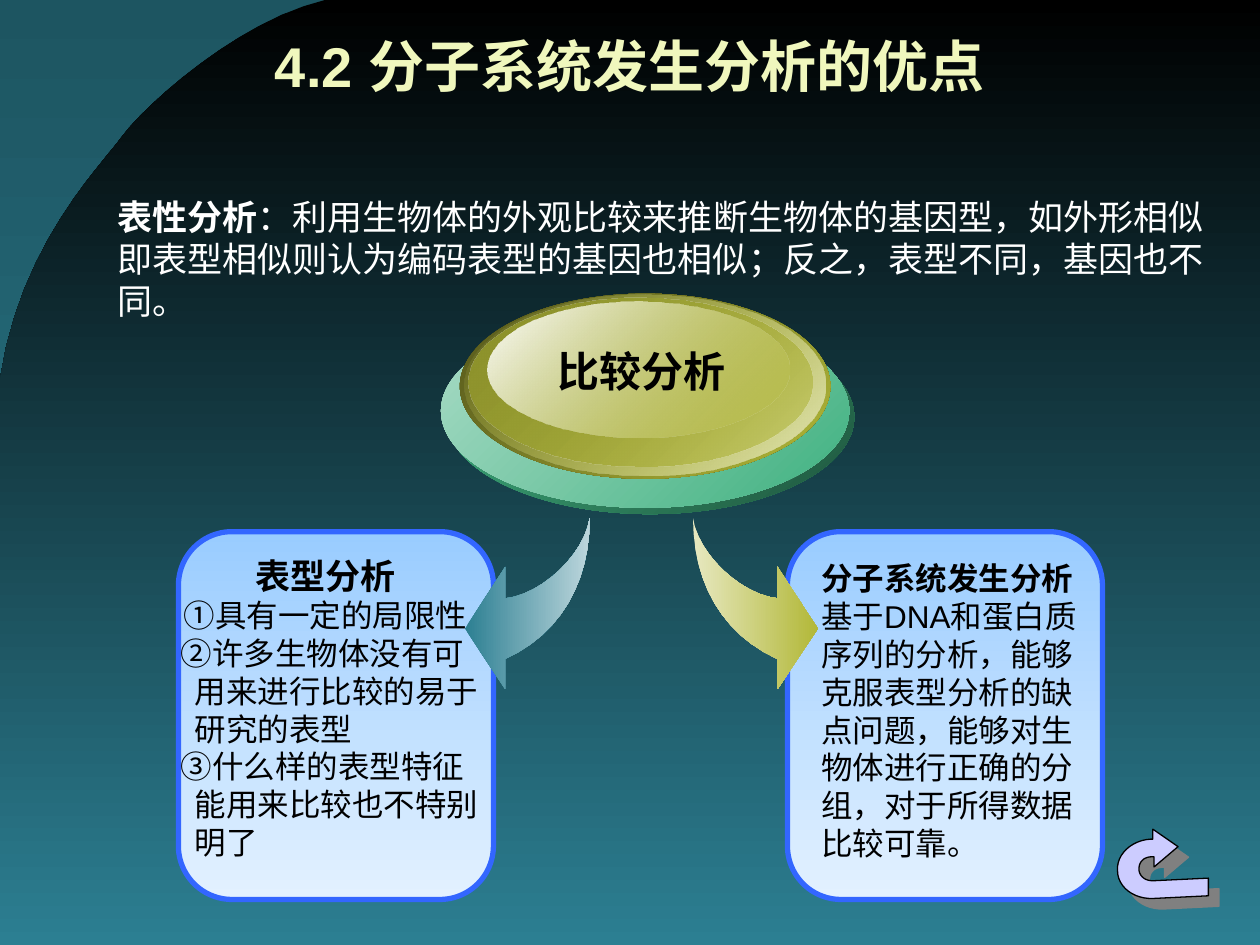
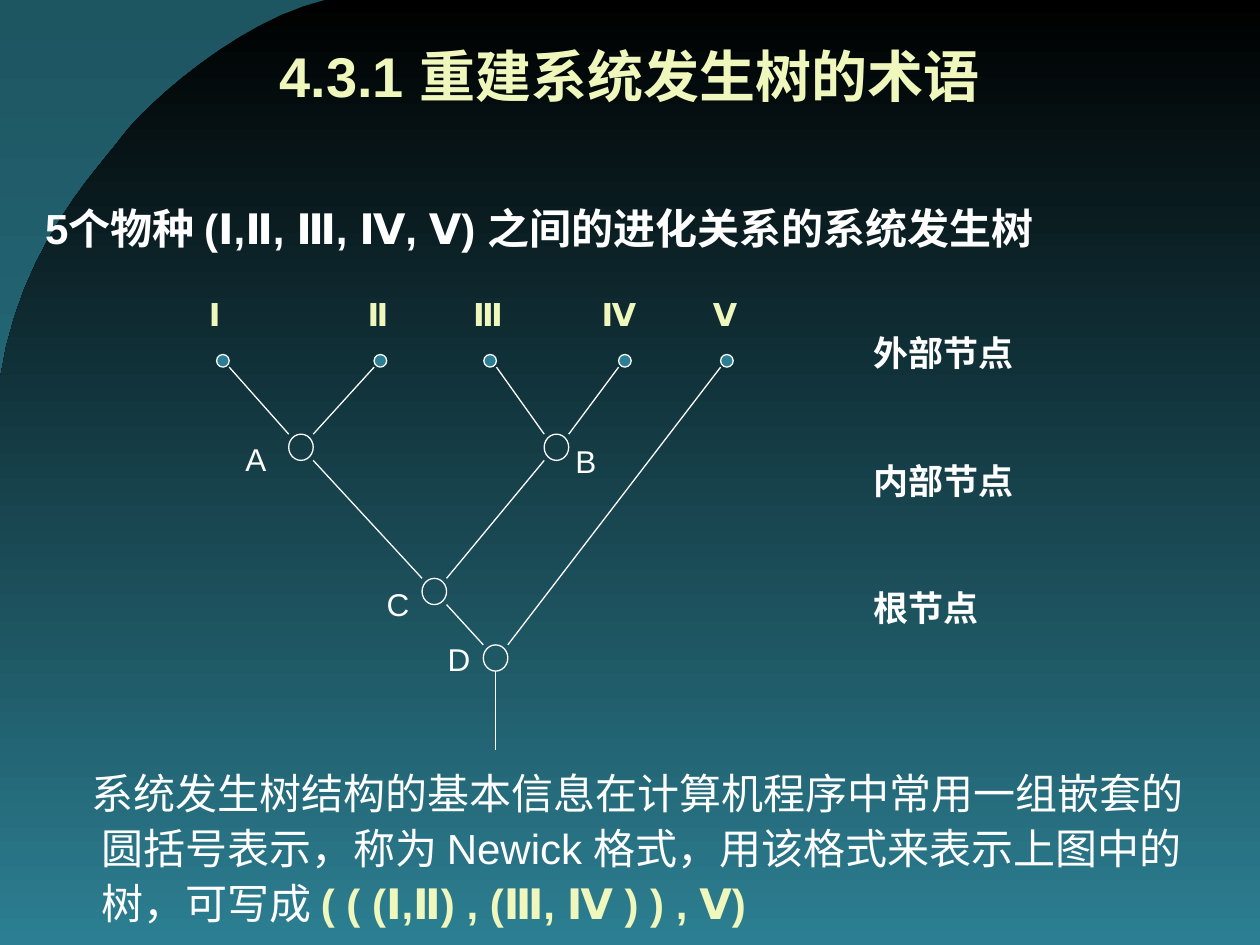
from dataclasses import dataclass

from lxml import etree
from pptx import Presentation
from pptx.dml.color import RGBColor
from pptx.enum.shapes import MSO_CONNECTOR, MSO_SHAPE
from pptx.enum.text import MSO_ANCHOR, PP_ALIGN
from pptx.oxml.ns import qn
from pptx.util import Pt

OVAL = MSO_SHAPE.OVAL
ROUNDED = MSO_SHAPE.ROUNDED_RECTANGLE
STRAIGHT = MSO_CONNECTOR.STRAIGHT
LEFT, CENTER = PP_ALIGN.LEFT, PP_ALIGN.CENTER
MIDDLE = MSO_ANCHOR.MIDDLE
TITLE_ONLY = 5
CURVE_STEPS = 12


@dataclass(frozen=True)
class Theme:
    """Colours, font and type sizes of the deck."""
    font: str = "Arial"
    black: str = "000000"
    white: str = "FFFFFF"
    cream: str = "F0F7BD"
    teal: str = "2C7F92"
    deep_teal: str = "1D5561"
    pale_teal: str = "BCD6DC"
    olive: str = "B2B838"
    pale_olive: str = "E7E8C0"
    green: str = "3FB180"
    blue: str = "3366FF"
    sky: str = "99CCFF"
    ice: str = "E3F1FF"
    lilac: str = "CCCCFF"
    grey: str = "808080"
    title: int = 32
    lead: int = 24
    heading: int = 20
    text: int = 18
    hairline: float = 0.75
    card_line: float = 3


THEME = Theme()

BACKDROP = [
    (185.8, 0), (136.8, 11.5, 83.5, 59.8, 70.6, 77),
    (57.6, 95, 11.5, 139.7, 0, 216.7), (0, 540), (720, 540), (720, 0),
]
SWOOSH = [
    (337, 296), (337, 332.6, 320.4, 362.2, 288.7, 376.6), (288.7, 393.8),
    (265.7, 359.3), (288.7, 324), (288.7, 342),
    (309.6, 339.8, 334.1, 316.8, 337, 296),
]
RETURN_ARROW = [
    (673.2, 483.8), (658.8, 473.8), (658.8, 479.5), (657.4, 479.5),
    (646.6, 480.2, 637.9, 488.2, 638.6, 497.5),
    (638.6, 506.9, 648, 514.1, 659.5, 513.4),
    (690.5, 511.9), (690.5, 501.8), (658.8, 503.3),
    (654.5, 503.3, 651.6, 501.1, 650.9, 497.5), (650.9, 496.1),
    (650.9, 492.5, 653.8, 489.6, 658.1, 489.6), (659.5, 489.6), (659.5, 495.4),
]


def color(value):
    """Turn a hex string into a colour."""
    return RGBColor.from_string(value)


def trace(path):
    """Turn points and cubic curves into a list of points."""
    points = [path[0]]
    for step in path[1:]:
        if len(step) == 2:
            points.append(step)
            continue
        controls = [points[-1], step[0:2], step[2:4], step[4:6]]
        for index in range(1, CURVE_STEPS + 1):
            t = index / CURVE_STEPS
            weights = ((1 - t) ** 3, 3 * t * (1 - t) ** 2, 3 * t * t * (1 - t), t ** 3)
            points.append(tuple(
                sum(weight * control[axis] for weight, control in zip(weights, controls))
                for axis in (0, 1)))
    return points


def mirror(path, width):
    """Flip a path left to right inside the given width."""
    return [tuple(width - value if index % 2 == 0 else value
                  for index, value in enumerate(step)) for step in path]


def set_gradient(fill, first, last, angle):
    """Fill with two colours, the angle being clockwise."""
    fill.gradient()
    fill.gradient_angle = (360 - angle) % 360
    for stop, value, position in zip(fill.gradient_stops, (first, last), (0, 1)):
        stop.color.rgb = color(value)
        stop.position = position


def add_shadow(effects, value, distance):
    """Cast a hard shadow to the lower right."""
    shadow = etree.SubElement(effects, qn("a:outerShdw"), dist=str(Pt(distance)),
                              dir="2700000", algn="ctr", rotWithShape="0")
    etree.SubElement(shadow, qn("a:srgbClr"), val=value)


class Deck:
    """Holds the style and the current slide."""

    def __init__(self, theme):
        """Set up the presentation and its master."""
        self.theme = theme
        self.presentation = Presentation()
        self.presentation.slide_width = Pt(720)
        self.presentation.slide_height = Pt(540)
        self.slide = None
        self.has_backdrop = False
        set_gradient(self.presentation.slide_master.background.fill,
                     theme.deep_teal, theme.teal, 90)

    def new_slide(self, title, top):
        """Start a slide with a shadowed title."""
        layout = self.presentation.slide_layouts[TITLE_ONLY]
        self.slide = self.presentation.slides.add_slide(layout)
        if not self.has_backdrop:
            self.move_backdrop_to_master()
        placeholder = self.slide.shapes.title
        placeholder.left, placeholder.top = Pt(36), Pt(top)
        placeholder.width, placeholder.height = Pt(648), Pt(50.4)
        frame = placeholder.text_frame
        frame.vertical_anchor = MIDDLE
        paragraph = frame.paragraphs[0]
        paragraph.alignment = CENTER
        run = self.run(paragraph, title, self.theme.title, self.theme.cream, True)
        effects = etree.Element(qn("a:effectLst"))
        add_shadow(effects, self.theme.black, 3)
        run.font._element.find(qn("a:solidFill")).addnext(effects)

    def move_backdrop_to_master(self):
        """Draw the curved backdrop once, behind every slide."""
        backdrop = self.outline(BACKDROP, (self.theme.black, self.theme.teal, 90))
        self.presentation.slide_master.shapes._spTree.insert(2, backdrop._element)
        self.has_backdrop = True

    def style(self, shape, fill, line=None, weight=None):
        """Set a plain, gradient or empty fill, and the line."""
        shape.shadow.inherit = False
        if fill is None:
            shape.fill.background()
        elif isinstance(fill, tuple):
            set_gradient(shape.fill, *fill)
        else:
            shape.fill.solid()
            shape.fill.fore_color.rgb = color(fill)
        if line is None:
            shape.line.fill.background()
        else:
            shape.line.color.rgb = color(line)
            shape.line.width = Pt(weight or self.theme.hairline)
        return shape

    def shape(self, kind, box, fill, line=None, weight=None):
        """Add a preset shape."""
        shape = self.slide.shapes.add_shape(kind, *map(Pt, box))
        return self.style(shape, fill, line, weight)

    def outline(self, path, fill, line=None):
        """Add a closed freeform."""
        points = [(Pt(x), Pt(y)) for x, y in trace(path)]
        builder = self.slide.shapes.build_freeform(*points[0])
        builder.add_line_segments(points[1:], close=True)
        return self.style(builder.convert_to_shape(), fill, line)

    def glass(self, box, first, last, opacities=(100, 100)):
        """Add an ellipse with a slanted, partly clear gradient."""
        shape = self.shape(OVAL, box, (first, last, 45))
        for stop, opacity in zip(shape._element.spPr.iter(qn("a:gs")), opacities):
            if opacity < 100:
                etree.SubElement(stop[0], qn("a:alpha"), val=str(opacity * 1000))

    def line(self, start, end):
        """Add a thin white line."""
        connector = self.slide.shapes.add_connector(STRAIGHT, *map(Pt, start + end))
        connector.line.color.rgb = color(self.theme.white)
        connector.line.width = Pt(self.theme.hairline)
        etree.SubElement(connector._element.spPr, qn("a:effectLst"))

    def text(self, box, wrap=True):
        """Add an empty text box and return its frame."""
        frame = self.slide.shapes.add_textbox(*map(Pt, box)).text_frame
        frame.word_wrap = wrap
        return frame

    def paragraph(self, frame, runs, align=LEFT, hang=None, spacing=None, before=0):
        """Write a paragraph of (text, size, colour, bold) runs."""
        paragraph = frame.paragraphs[0]
        if paragraph.runs:
            paragraph = frame.add_paragraph()
            paragraph.space_before = Pt(before)
        paragraph.alignment = align
        if hang:
            properties = paragraph._p.get_or_add_pPr()
            properties.set("marL", str(Pt(hang[0])))
            properties.set("indent", str(Pt(hang[1])))
        if spacing:
            paragraph.line_spacing = spacing
        for run in runs:
            self.run(paragraph, *run)

    def run(self, paragraph, text, size, value, bold=False):
        """Add one formatted run."""
        run = paragraph.add_run()
        run.text = text
        run.font.name = self.theme.font
        run.font.size = Pt(size)
        run.font.bold = bold
        run.font.color.rgb = color(value)
        return run

    def label(self, text, center, top, value, bold=False):
        """Write a short label centred on a place."""
        frame = self.text((center - 15, top, 30, 28.8), wrap=False)
        self.paragraph(frame, [(text, self.theme.text, value, bold)], CENTER)


def build_advantages(deck):
    """Compare phenotype analysis with molecular phylogenetics."""
    theme = deck.theme
    deck.new_slide("4.2 分子系统发生分析的优点", 12.2)

    for left in (450, 102):
        card = deck.shape(ROUNDED, (left, 303.8, 180, 210.2),
                          (theme.sky, theme.ice, 90), theme.blue, theme.card_line)
        card.adjustments[0] = 0.17

    phenotype = deck.text((84.2, 313.2, 203.8, 183))
    deck.paragraph(phenotype, [("表型分析", theme.heading, theme.black, True)], CENTER)
    deck.paragraph(phenotype, [("①具有一定的局限性", theme.text, theme.black)], CENTER)
    for point in ("②许多生物体没有可用来进行比较的易于研究的表型",
                  "③什么样的表型特征能用来比较也不特别明了"):
        deck.paragraph(phenotype, [(point, theme.text, theme.black)], hang=(20, -8))

    deck.outline(SWOOSH, (theme.teal, theme.pale_teal, 0))
    deck.outline(mirror(SWOOSH, 733), (theme.pale_olive, theme.olive, 0))

    deck.glass((254.9, 182.9, 233.3, 110.9), theme.green, "1F563E")
    deck.glass((252, 179.3, 233.3, 110.9), "AADCC7", theme.green)
    deck.glass((262.8, 167.8, 211.7, 105.8), "52551A", theme.olive)
    deck.glass((265.7, 168.5, 205.9, 103), theme.olive, "E4E6BA", (0, 100))
    deck.glass((267.8, 169.9, 196.6, 96.5), "8D922C", theme.olive, (100, 48))
    deck.glass((278.6, 172.1, 172.8, 77.8), theme.white, theme.olive, (100, 38))
    hub = deck.text((301, 193.7, 131, 36))
    deck.paragraph(hub, [("比较分析", theme.lead, theme.black, True)], CENTER)

    molecular = deck.text((462.2, 316.1, 160.6, 180))
    deck.paragraph(molecular, [("分子系统发生分析", theme.text, theme.black, True)])
    deck.paragraph(molecular, [(
        "基于DNA和蛋白质序列的分析，能够克服表型分析的缺点问题，"
        "能够对生物体进行正确的分组，对于所得数据比较可靠。", theme.text, theme.black)])

    arrow = deck.outline(RETURN_ARROW, theme.lilac, theme.black)
    add_shadow(arrow._element.spPr.find(qn("a:effectLst")), theme.grey, 8.5)

    definition = deck.text((59.8, 108, 635.8, 79.2))
    deck.paragraph(definition, [
        ("表性分析", theme.heading, theme.white, True),
        ("：利用生物体的外观比较来推断生物体的基因型，如外形相似即表型相似则认为"
         "编码表型的基因也相似；反之，表型不同，基因也不同。", theme.heading, theme.white)])


def build_tree(deck):
    """Draw a tree of five species and name its nodes."""
    theme = deck.theme
    deck.new_slide("4.3.1 重建系统发生树的术语", 18)

    leaves = {"Ⅰ": (127.4, 122.8), "Ⅱ": (217.4, 216), "Ⅲ": (280.1, 278.3),
              "Ⅳ": (357.1, 351.7), "Ⅴ": (415.4, 414.4)}
    inner = {"A": (172, 255.6, 146.3, 247.7), "B": (318, 255.6, 334.9, 249.1),
             "C": (248.2, 338, 227.4, 330.5), "D": (283.2, 376, 262.3, 362.2)}
    branches = ("AⅠ", "AⅡ", "BⅢ", "BⅣ", "CA", "CB", "DC", "DⅤ")
    nodes = {}

    for name, (x, label_x) in leaves.items():
        nodes[name] = (x, 206.2, 3.6, 3.6)
        deck.label(name, label_x, 165, theme.cream, True)
    for name, (x, y, label_x, label_top) in inner.items():
        nodes[name] = (x, y, 7, 7.5)
        deck.label(name, label_x, label_top, theme.white)
    for name, (x, y, rx, ry) in nodes.items():
        fill = theme.teal if name in leaves else None
        deck.shape(OVAL, (x - rx, y - ry, 2 * rx, 2 * ry), fill, theme.white)
    for parent, child in branches:
        x, y, rx, ry = nodes[parent]
        child_x, child_y, child_rx, child_ry = nodes[child]
        side = 1 if child_x > x else -1
        deck.line((x + side * rx, y - ry),
                  (child_x - side * child_rx, child_y + child_ry))
    root_x, root_y, _, root_ry = nodes["D"]
    deck.line((root_x, root_y + root_ry), (root_x, 428.4))

    species = deck.text((12.2, 115.2, 707.8, 41.8))
    deck.paragraph(species, [("5个物种 (Ⅰ,Ⅱ, Ⅲ, Ⅳ, Ⅴ) 之间的进化关系的系统发生树",
                              theme.lead, theme.white, True)],
                   hang=(27, -20.4), spacing=0.9)

    newick = deck.text((23.8, 432, 678.2, 108))
    deck.paragraph(newick, [
        ("系统发生树结构的基本信息在计算机程序中常用一组嵌套的圆括号表示，称为 Newick "
         "格式，用该格式来表示上图中的树，可写成 ", theme.lead, theme.white),
        ("( ( (Ⅰ,Ⅱ) , (Ⅲ, Ⅳ ) ) , Ⅴ)", theme.lead, theme.cream, True)],
        hang=(27, -5.4), spacing=1.1)

    kinds = deck.text((491.8, 185.8, 180, 213.8))
    for kind in ("外部节点", "内部节点", "根节点"):
        deck.paragraph(kinds, [(kind, theme.heading, theme.white, True)], before=49)


def main():
    """Build both slides and save them."""
    deck = Deck(THEME)
    build_advantages(deck)
    build_tree(deck)
    deck.presentation.save("out.pptx")


if __name__ == "__main__":
    main()
